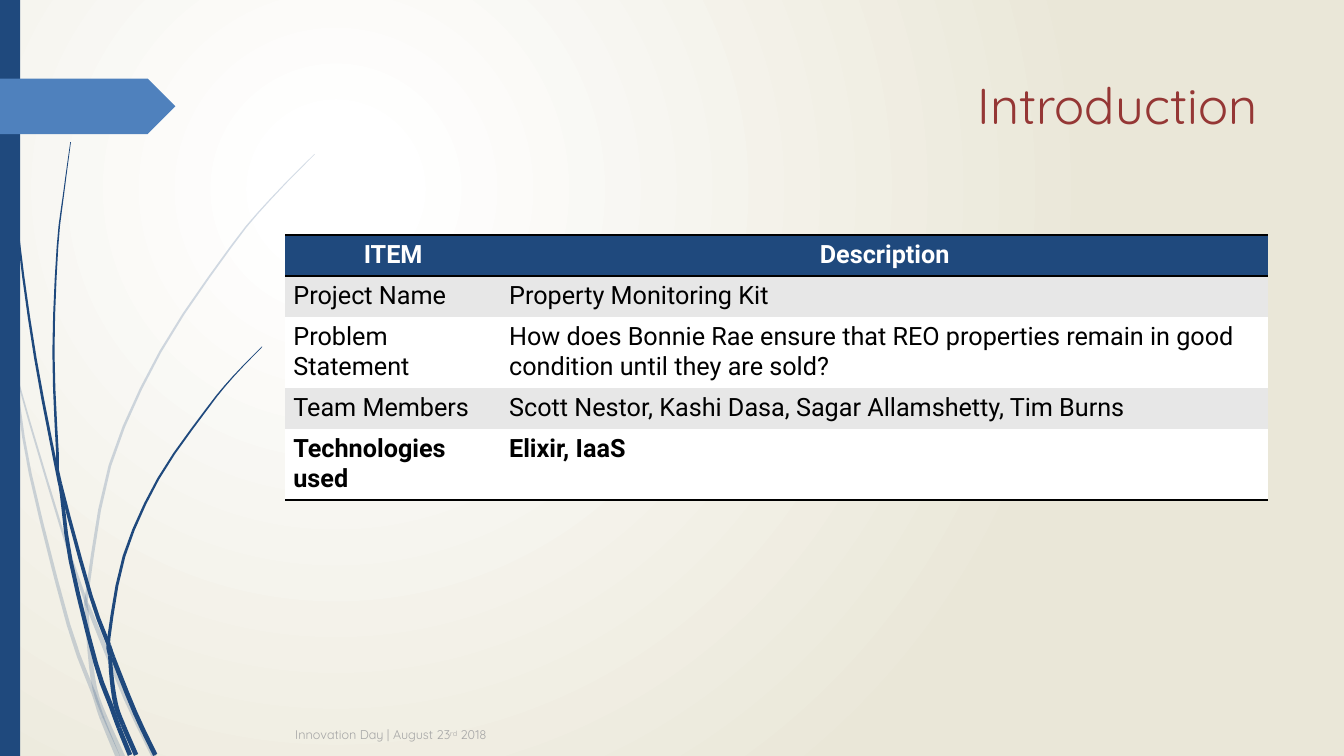
from math import hypot
from lxml import etree
from pptx import Presentation
from pptx.dml.color import RGBColor
from pptx.enum.shapes import MSO_SHAPE
from pptx.enum.text import MSO_ANCHOR, PP_ALIGN
from pptx.oxml.ns import qn
from pptx.util import Inches, Pt

RECT, ARROW = MSO_SHAPE.RECTANGLE, MSO_SHAPE.PENTAGON
TOP, MIDDLE = MSO_ANCHOR.TOP, MSO_ANCHOR.MIDDLE
LEFT, CENTER, RIGHT = PP_ALIGN.LEFT, PP_ALIGN.CENTER, PP_ALIGN.RIGHT

# Content
TITLE = "Introduction"
FOOTER = [("Innovation Day | August 23", 0), ("rd", 30000), (" 2018", 0)]
ROWS = [
    ("ITEM", "Description"),
    ("Project Name", "Property Monitoring Kit"),
    ("Problem Statement", "How does Bonnie Rae ensure that REO properties "
     "remain in good condition until they are sold?"),
    ("Team Members", "Scott Nestor, Kashi Dasa, Sagar Allamshetty, Tim Burns"),
    ("Technologies used", "Elixir, IaaS"),
]
COLS = [2.14, 7.61]
HEIGHT = 0.41

# Grass blades: where each is cut into parts, then points from tip to root
PALE = [
    ([1, 6], [(0, 2.9), (0.11, 3.5), (0.16, 3.8), (0.3, 4.7), (0.68, 6.2),
              (0.93, 6.88), (1.01, 7.12), (1.17, 7.51)]),
    ([3, 4], [(0.14, 3.45), (0.17, 3.75), (0.6, 5.21), (0.84, 5.93),
              (0.9, 6.08), (1.25, 6.93), (1.53, 7.51)]),
    ([6, 9], [(3.12, 1.53), (2.68, 1.98), (2.29, 2.45), (1.59, 3.49),
              (1.09, 4.62), (0.87, 5.84), (0.86, 6.05), (0.89, 6.46),
              (0.94, 6.83), (1.04, 7.11), (1.22, 7.51)]),
]
DARK = [
    ([5, 6, 10], [(0.03, 0), (0.05, 0.48), (0.08, 1.1), (0.18, 2.33),
                  (0.35, 3.55), (0.56, 4.65), (0.61, 4.9), (0.7, 5.56),
                  (0.95, 6.58), (1.1, 7), (1.18, 7.22), (1.29, 7.49)]),
    ([5, 7, 8], [(0.7, 1.41), (0.63, 1.93), (0.57, 2.45), (0.53, 3.49),
                 (0.57, 4.5), (0.6, 4.8), (0.9, 5.91), (1.08, 6.4),
                 (1.12, 6.52), (1.34, 7.07), (1.54, 7.49)]),
    ([6, 9], [(2.6, 3.44), (2.31, 3.74), (2.05, 4.06), (1.57, 4.75),
              (1.23, 5.52), (1.08, 6.33), (1.09, 6.5), (1.11, 6.75),
              (1.15, 7), (1.22, 7.19), (1.35, 7.49)]),
]

THEME = {
    "navy": "1F497D", "blue": "4F81BD", "band": "E7E7E7", "white": "FFFFFF",
    "black": "000000", "sand": "EAE7D8",
    "title": {"name": "Quicksand", "size": Pt(36), "color": "953735"},
    "head": {"name": "Roboto", "size": Pt(18), "color": "FFFFFF", "bold": True},
    "body": {"name": "Roboto", "size": Pt(18), "color": "000000", "bold": False},
    "last": {"name": "Roboto", "size": Pt(18), "color": "000000", "bold": True},
    "foot": {"name": "Quicksand", "size": Pt(9), "color": "A6A6A6"},
}


def hue(name):
    return RGBColor.from_string(THEME.get(name, name))


def style(font, look):
    for key, value in look.items():
        if key == "color":
            font.color.rgb = hue(value)
        else:
            setattr(font, key, value)


def paint(shape, name, alpha=None):
    shape.shadow.inherit = False
    shape.fill.solid()
    shape.fill.fore_color.rgb = hue(name)
    shape.line.fill.background()
    if alpha:
        clr = shape.element.spPr.find(".//" + qn("a:srgbClr"))
        etree.SubElement(clr, qn("a:alpha"), val=str(alpha * 1000))


def curve(pts, steps):
    """Smooth line through the points (Catmull-Rom)."""
    ends = [pts[0], *pts, pts[-1]]
    out = []
    for a, b, c, d in zip(ends, ends[1:], ends[2:], ends[3:]):
        for i in range(steps):
            t = i / steps
            out.append(tuple(
                q + t / 2 * (r - p + t * (2 * p - 5 * q + 4 * r - s
                                          + t * (3 * q - p - 3 * r + s)))
                for p, q, r, s in zip(a, b, c, d)))
    return out + [pts[-1]]


def blade(shapes, cuts, pts, alpha=None, steps=3):
    """Strip that widens from tip to root, drawn part by part."""
    mid = curve(pts, steps)
    end = len(mid) - 1
    left, right = [], []
    for i, (x, y) in enumerate(mid):
        a, b = mid[max(i - 1, 0)], mid[min(i + 1, end)]
        dx, dy = b[0] - a[0], b[1] - a[1]
        half = 0.003 + 0.02 * min(1, 1.3 * i / end)
        k = half / hypot(dx, dy)
        left.append((Inches(x - dy * k), Inches(y + dx * k)))
        right.append((Inches(x + dy * k), Inches(y - dx * k)))
    marks = [0, *(cut * steps for cut in cuts), end]
    for a, b in zip(marks, marks[1:]):
        edge = left[a:b + 1] + right[a:b + 1][::-1]
        form = shapes.build_freeform(*edge[0])
        form.add_line_segments(edge[1:], close=True)
        paint(form.convert_to_shape(), "navy", alpha)


def text(shapes, box, anchor, align, runs, look):
    frame = shapes.add_textbox(*map(Inches, box)).text_frame
    frame.word_wrap = True
    frame.vertical_anchor = anchor
    para = frame.paragraphs[0]
    para.alignment = align
    for words, base in runs:
        run = para.add_run()
        run.text = words
        style(run.font, THEME[look])
        if base:
            run._r.get_or_add_rPr().set("baseline", str(base))


def rule(cell, tag, place):
    line = etree.Element(qn(tag), w=str(Pt(2)))
    fill = etree.SubElement(line, qn("a:solidFill"))
    etree.SubElement(fill, qn("a:srgbClr"), val=THEME["black"])
    cell._tc.get_or_add_tcPr().insert(place, line)


def backdrop(slide):
    fill = slide.background.fill
    fill.gradient()
    for stop, (spot, name) in zip(fill.gradient_stops,
                                  [(0.07, "white"), (1, "sand")]):
        stop.position = spot
        stop.color.rgb = hue(name)
    grad = slide.element.find(".//" + qn("a:gradFill"))
    for lin in grad.findall(qn("a:lin")):
        grad.remove(lin)
    way = etree.SubElement(grad, qn("a:path"), path="circle")
    etree.SubElement(way, qn("a:fillToRect"), l="50000", t="50000",
                     r="100000", b="100000")


def grid(shapes):
    box = map(Inches, (2.83, 2.33, sum(COLS), HEIGHT * len(ROWS)))
    table = shapes.add_table(len(ROWS), len(COLS), *box).table
    plain = "{2D5ABB26-0587-4C30-8999-92F81FD0307C}"
    table._tbl.tblPr.find(qn("a:tableStyleId")).text = plain
    for col, width in zip(table.columns, COLS):
        col.width = Inches(width)
    last = len(ROWS) - 1
    for r, row in enumerate(ROWS):
        look = {0: "head", last: "last"}.get(r, "body")
        for c, words in enumerate(row):
            cell = table.cell(r, c)
            cell.text = words
            cell.margin_left = cell.margin_right = Inches(0.08)
            cell.margin_top = cell.margin_bottom = Inches(0.05)
            para = cell.text_frame.paragraphs[0]
            para.alignment = LEFT if r else CENTER
            style(para.runs[0].font, THEME[look])
            cell.fill.solid()
            cell.fill.fore_color.rgb = hue(
                ("band" if r % 2 else "white") if r else "navy")
            if r in (0, last):
                rule(cell, "a:lnB", 0)
            if r == 0:
                rule(cell, "a:lnT", 0)


def main():
    deck = Presentation()
    deck.slide_width, deck.slide_height = Inches(13.33), Inches(7.5)
    slide = deck.slides.add_slide(deck.slide_layouts[6])
    shapes = slide.shapes
    backdrop(slide)

    # Grass, side bar and arrow
    for cuts, pts in PALE:
        blade(shapes, cuts, pts, 20)
    for cuts, pts in DARK:
        blade(shapes, cuts, pts)
    for kind, box, name in [(RECT, (0, 0, 0.2, 7.5), "navy"),
                            (ARROW, (0, 0.78, 1.74, 0.55), "blue")]:
        paint(shapes.add_shape(kind, *map(Inches, box)), name)

    # Title, table and footer
    text(shapes, (2.82, 0.69, 9.75, 1.4), TOP, RIGHT, [(TITLE, 0)], "title")
    grid(shapes)
    text(shapes, (2.83, 7.09, 8.33, 0.4), MIDDLE, LEFT, FOOTER, "foot")
    deck.save("out.pptx")


if __name__ == "__main__":
    main()
